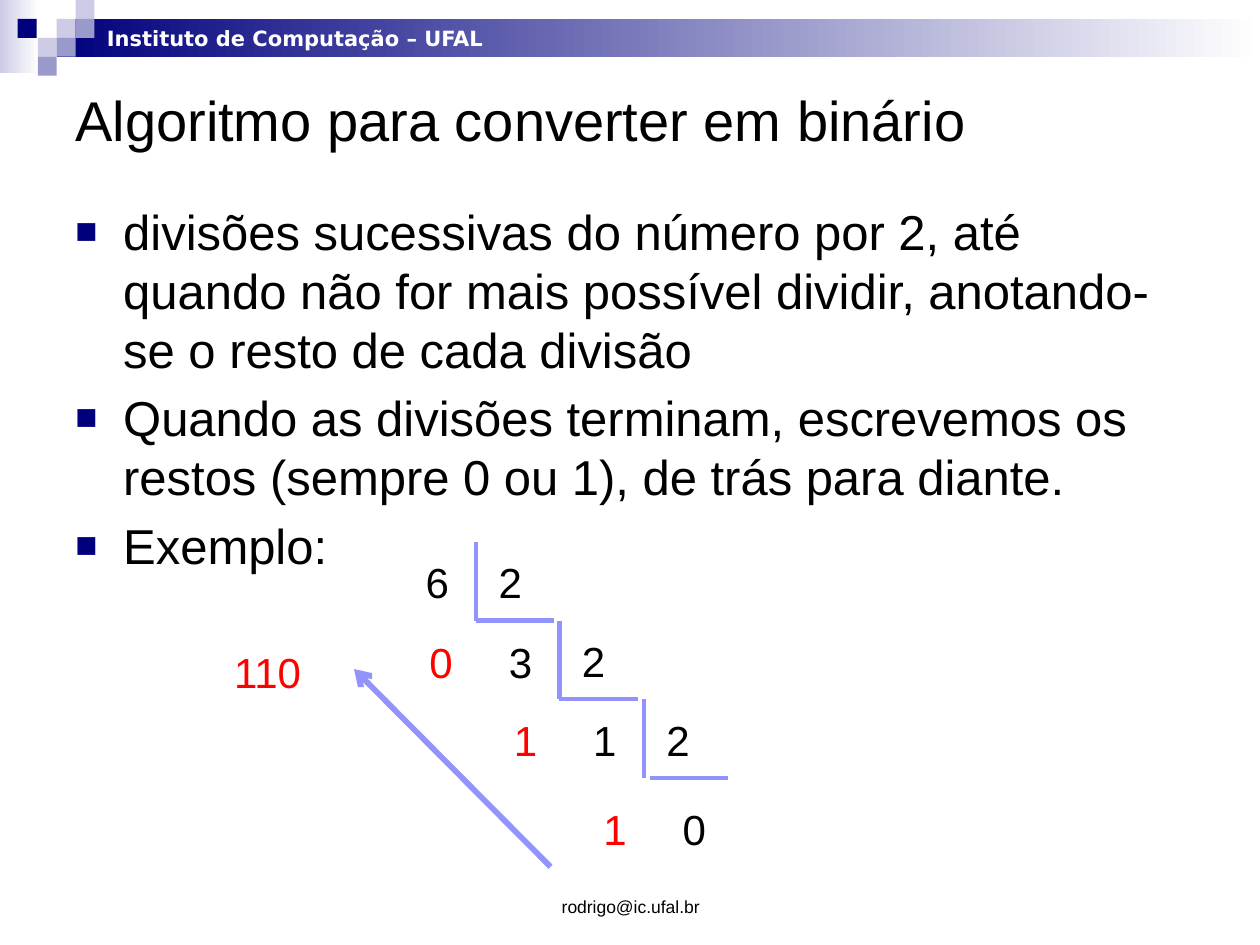
from lxml import etree
from pptx import Presentation
from pptx.dml.color import RGBColor
from pptx.enum import shapes, text
from pptx.oxml.ns import qn
from pptx.util import Inches, Pt

COLORS = {
    "navy": "00007D", "mid": "9999CC", "pale": "CCCCE6", "white": "FFFFFF",
    "black": "000000", "red": "FF0000", "line": "9393FC",
}
TILES = [
    (0.45, 0.15, "pale"), (0.6, 0, "pale"), (0.6, 0.15, "mid"),
    (0.3, 0.3, "pale"), (0.14, 0.15, "navy"), (0.45, 0.3, "mid"),
    (0.3, 0.45, "mid"),
]
POINTS = [
    "divisões sucessivas do número por 2, até quando não for mais possível "
    "dividir, anotando-se o resto de cada divisão",
    "Quando as divisões terminam, escrevemos os restos (sempre 0 ou 1), "
    "de trás para diante.",
    "Exemplo:",
]
STEPS = [
    (3.78, 3.78, 3.31, 5, "0", "3"),
    (4.44, 4.44, 3.98, 5.62, "1", "1"),
    (5.11, 5.16, 4.69, 6.33, "1", "0"),
]


def rgb(name):
    return RGBColor.from_string(COLORS[name])


def add_block(slide, x, y, w, h, color, fade=False):
    block = slide.shapes.add_shape(
        shapes.MSO_SHAPE.RECTANGLE, Inches(x), Inches(y), Inches(w), Inches(h))
    block.shadow.inherit = False
    block.line.fill.background()
    if fade:
        block.fill.gradient()
        block.fill.gradient_angle = 0
        for stop, pos, name in zip(
                block.fill.gradient_stops, (0, 1), (color, "white")):
            stop.position = pos
            stop.color.rgb = rgb(name)
    else:
        block.fill.solid()
        block.fill.fore_color.rgb = rgb(color)


def add_bullet(para):
    props = para._p.get_or_add_pPr()
    props.set("marL", str(Inches(0.38)))
    props.set("indent", str(Inches(-0.38)))
    space = etree.SubElement(props, qn("a:spcBef"))
    etree.SubElement(space, qn("a:spcPct"), val="20000")
    color = etree.SubElement(props, qn("a:buClr"))
    etree.SubElement(color, qn("a:srgbClr"), val=COLORS["navy"])
    etree.SubElement(props, qn("a:buSzPct"), val="75000")
    etree.SubElement(props, qn("a:buFont"), typeface="Arial")
    etree.SubElement(props, qn("a:buChar"), char="■")


def add_text(slide, lines, x, y, w, h, size=24, color="black", font="Arial",
             bold=False, wrap=False, bullet=False,
             anchor=text.MSO_ANCHOR.TOP, align=text.PP_ALIGN.LEFT):
    box = slide.shapes.add_textbox(Inches(x), Inches(y), Inches(w), Inches(h))
    frame = box.text_frame
    frame.word_wrap = wrap
    frame.vertical_anchor = anchor
    for i, line in enumerate(lines):
        para = frame.add_paragraph() if i else frame.paragraphs[0]
        para.alignment = align
        if bullet:
            add_bullet(para)
        run = para.add_run()
        run.text = line
        run.font.size = Pt(size)
        run.font.name = font
        run.font.bold = bold
        run.font.color.rgb = rgb(color)


def add_line(slide, x1, y1, x2, y2, width=2.5, arrow=False):
    line = slide.shapes.add_connector(
        shapes.MSO_CONNECTOR.STRAIGHT,
        Inches(x1), Inches(y1), Inches(x2), Inches(y2))
    line.line.color.rgb = rgb("line")
    line.line.width = Pt(width)
    if arrow:
        etree.SubElement(line.line._get_or_add_ln(), qn("a:tailEnd"), type="arrow")
    etree.SubElement(line._element.spPr, qn("a:effectLst"))


def add_digit(slide, digit, x, y, color="black"):
    add_text(slide, [digit], x, y, 0.39, 0.5, color=color)


def add_header(slide):
    add_block(slide, 0, 0, 0.31, 0.58, "pale", fade=True)
    add_block(slide, 0.45, 0.15, 9.55, 0.3, "navy", fade=True)
    for x, y, color in TILES:
        add_block(slide, x, y, 0.15, 0.15, color)
    add_text(slide, ["Instituto de Computação – UFAL"], 0.75, 0.15, 3.24, 0.3,
             size=12, color="white", font="DejaVu Sans", bold=True)


def add_division(slide):
    add_digit(slide, "6", 3.28, 4.37)
    for i, (bar, foot, left, row, rest, quotient) in enumerate(STEPS):
        top = 4.3 + 0.625 * i
        base = top + 0.625
        add_line(slide, bar, top, bar, base)
        add_line(slide, foot + 0.62, base, foot, base)
        add_digit(slide, "2", bar + 0.08, top + 0.07)
        add_digit(slide, rest, left, row, "red")
        add_digit(slide, quotient, left + 0.63, row)
    add_line(slide, 4.37, 6.88, 2.81, 5.31, width=3.25, arrow=True)
    add_text(slide, ["110"], 1.76, 5.08, 0.74, 0.5, color="red")


def main():
    deck = Presentation()
    deck.slide_width, deck.slide_height = Inches(10), Inches(7.5)
    slide = deck.slides.add_slide(deck.slide_layouts[6])
    add_header(slide)
    add_text(slide, ["Algoritmo para converter em binário"], 0.5, 0.5, 9, 0.89,
             size=32, wrap=True, anchor=text.MSO_ANCHOR.MIDDLE)
    add_text(slide, POINTS, 0.5, 1.55, 9, 5.2, size=28, wrap=True, bullet=True)
    add_text(slide, ["rodrigo@ic.ufal.br"], 3.42, 6.83, 3.17, 0.5, size=10,
             wrap=True, anchor=text.MSO_ANCHOR.BOTTOM,
             align=text.PP_ALIGN.CENTER)
    add_division(slide)
    deck.save("out.pptx")


if __name__ == "__main__":
    main()
